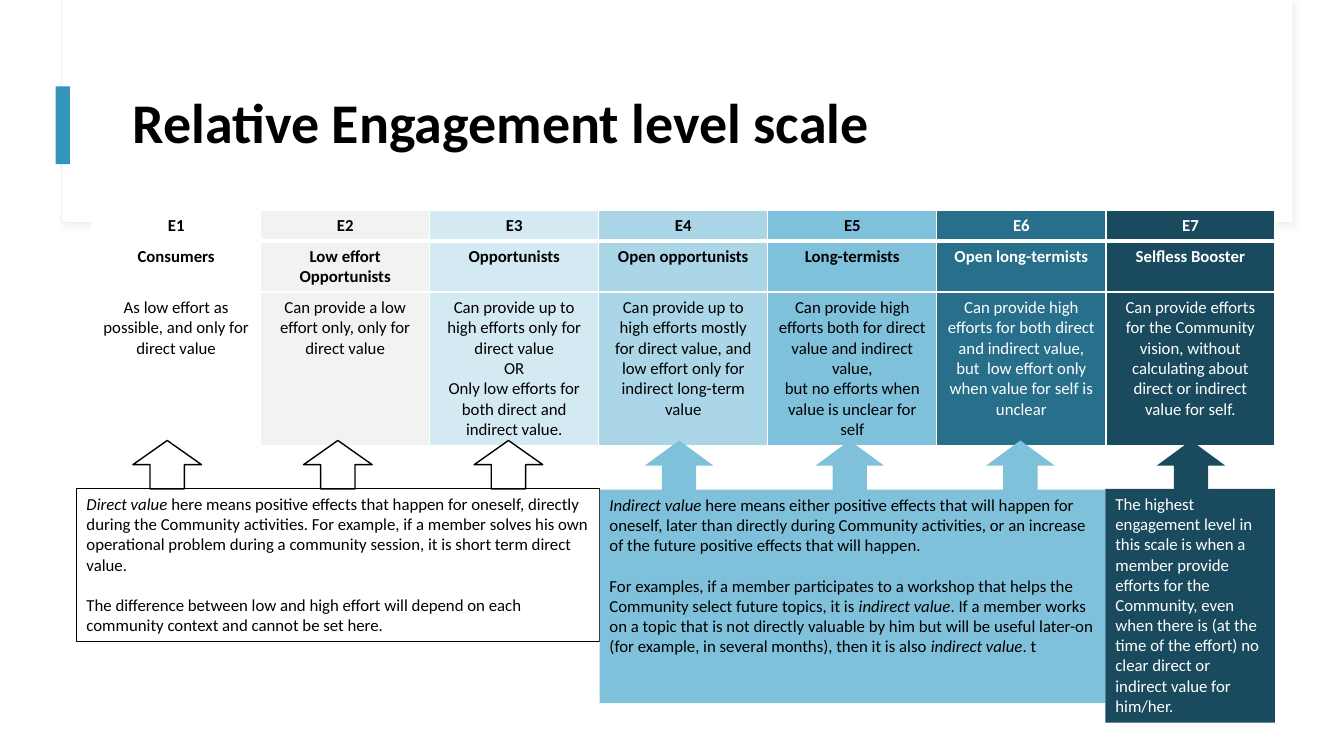
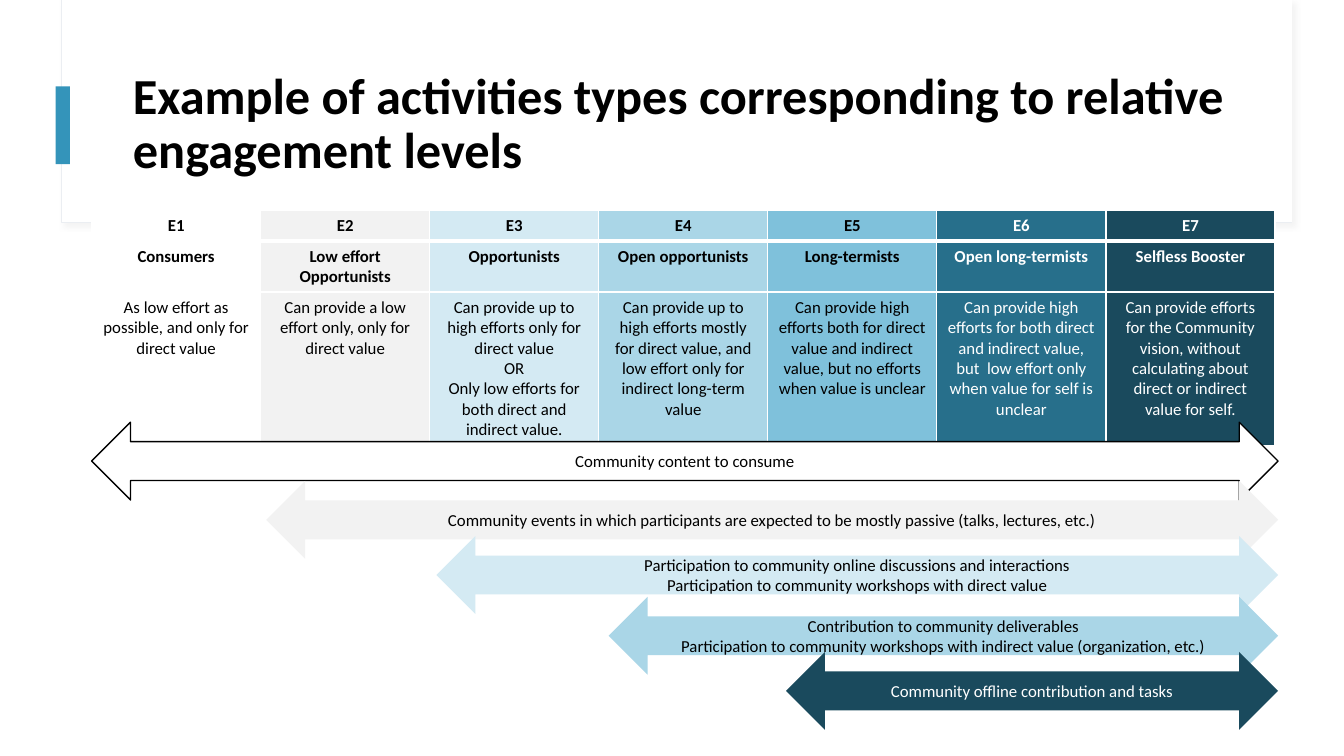
from dataclasses import dataclass

from lxml.etree import SubElement
from pptx import Presentation
from pptx.dml.color import RGBColor
from pptx.enum.shapes import MSO_SHAPE
from pptx.enum.text import MSO_ANCHOR, PP_ALIGN
from pptx.oxml import parse_xml
from pptx.oxml.ns import nsdecls, qn
from pptx.util import Cm, Pt


@dataclass(frozen=True)
class Theme:
    """Colours and type sizes shared by all slides."""

    font: str = "Calibri"
    black: str = "000000"
    white: str = "FFFFFF"
    accent: str = "3494BA"
    card_line: str = "EBEEF2"
    card_shadow: str = "D9D9D9"
    grey: str = "F2F2F2"
    pale: str = "D4EAF3"
    light: str = "AAD6E7"
    medium: str = "7FC1DB"
    strong: str = "276F8B"
    dark: str = "1A4A5D"
    title_size: int = 40
    long_title_size: int = 36
    body_size: int = 12
    paragraph_gap: float = 14.6


@dataclass(frozen=True)
class Box:
    """A rectangle in centimetres."""

    left: float
    top: float
    width: float
    height: float

    def lengths(self):
        """Return the four lengths for a shape call."""
        return Cm(self.left), Cm(self.top), Cm(self.width), Cm(self.height)


THEME = Theme()
TABLE_BOX = Box(2.31, 5.31, 29.82, 5.91)
ROW_HEIGHTS = (0.77, 1.28, 3.86)

LEVELS = [
    ("Consumers", THEME.white, THEME.black,
     ["As low effort as possible, and only for direct value"]),
    ("Low effort Opportunists", THEME.grey, THEME.black,
     ["Can provide a low effort only, only for direct value"]),
    ("Opportunists", THEME.pale, THEME.black,
     ["Can provide up to high efforts only for direct value", "OR",
      "Only low efforts for both direct and indirect value."]),
    ("Open opportunists", THEME.light, THEME.black,
     ["Can provide up to high efforts mostly for direct value, and low effort only "
      "for indirect long-term value"]),
    ("Long-termists", THEME.medium, THEME.black, []),
    ("Open long-termists", THEME.strong, THEME.white,
     ["Can provide high efforts for both direct and indirect value,",
      "but  low effort only when value for self is unclear"]),
    ("Selfless Booster", THEME.dark, THEME.white,
     ["Can provide efforts for the Community vision, without calculating about "
      "direct or indirect value for self."]),
]

SCALE_LONG_TERMISTS = [
    "Can provide high efforts both for direct value and indirect value,",
    "but no efforts when value is unclear for self",
]
ACTIVITY_LONG_TERMISTS = [
    "Can provide high efforts both for direct value and indirect value, but no "
    "efforts when value is unclear",
]

NOTES = [
    (Box(1.93, 12.32, 13.18, 3.84), None, THEME.black, [
        "*Direct value* here means positive effects that happen for oneself, directly "
        "during the Community activities. For example, if a member solves his own "
        "operational problem during a community session, it is short term direct value.",
        "The difference between low and high effort will depend on each community "
        "context and cannot be set here."]),
    (Box(15.11, 12.34, 12.75, 5.38), THEME.medium, THEME.black, [
        "*Indirect value *here means either positive effects that will happen for "
        "oneself, later than directly during Community activities, or an increase of "
        "the future positive effects that will happen.",
        "For examples, if a member participates to a workshop that helps the Community "
        "select future topics, it is *indirect value*. If a member works on a topic "
        "that is not directly valuable by him but will be useful later-on (for example, "
        "in several months), then it is also *indirect value*. t"]),
    (Box(27.86, 12.32, 4.27, 5.89), THEME.dark, THEME.white, [
        "The highest engagement level in this scale is when a member provide efforts "
        "for the Community, even when there is (at the time of the effort) no clear "
        "direct or indirect value for him/her."]),
]

ACTIVITIES = [
    (2.31, 10.64, THEME.white, THEME.black, ["Community content to consume"]),
    (6.71, 12.12, THEME.grey, THEME.black,
     ["Community events in which participants are expected to be mostly passive "
      "(talks, lectures, etc.)"]),
    (11.0, 13.51, THEME.pale, THEME.black,
     ["Participation to community online discussions and interactions",
      "Participation to community workshops with direct value"]),
    (15.34, 15.04, THEME.light, THEME.black,
     ["Contribution to community deliverables",
      "Participation to community workshops with indirect value (organization, etc.)"]),
    (19.81, 16.43, THEME.dark, THEME.white,
     ["Community offline contribution and tasks"]),
]


def write(text_frame, paragraphs, color, size=THEME.body_size, bold=False,
          align=PP_ALIGN.LEFT, gap=0):
    """Write paragraphs, setting the parts between asterisks in italics."""
    text_frame.word_wrap = True
    for index, text in enumerate(paragraphs):
        paragraph = text_frame.add_paragraph() if index else text_frame.paragraphs[0]
        paragraph.alignment = align
        if index and gap:
            paragraph.space_before = Pt(gap)
        for position, piece in enumerate(text.split("*")):
            if not piece:
                continue
            run = paragraph.add_run()
            run.text = piece
            run.font.name = THEME.font
            run.font.size = Pt(size)
            run.font.bold = bold
            run.font.italic = position % 2 == 1
            run.font.color.rgb = RGBColor.from_string(color)


def add_figure(slide, kind, box, fill=None, line=None, line_width=1):
    """Add a flat preset shape with an optional fill and outline."""
    shape = slide.shapes.add_shape(kind, *box.lengths())
    shape.shadow.inherit = False
    if fill:
        shape.fill.solid()
        shape.fill.fore_color.rgb = RGBColor.from_string(fill)
    else:
        shape.fill.background()
    if line:
        shape.line.color.rgb = RGBColor.from_string(line)
        shape.line.width = Pt(line_width)
    else:
        shape.line.fill.background()
    return shape


def add_soft_shadow(shape):
    """Give a shape a faint shadow to its lower right."""
    effects = shape._element.spPr.find(qn("a:effectLst"))
    shadow = SubElement(effects, qn("a:outerShdw"), blurRad=str(Pt(4)),
                        dist=str(Pt(3)), dir="2700000", algn="tl", rotWithShape="0")
    color = SubElement(shadow, qn("a:srgbClr"), val=THEME.card_shadow)
    SubElement(color, qn("a:alpha"), val="30000")


def add_heading(slide, title, size):
    """Draw the title card, its accent bar and the title."""
    card = add_figure(slide, MSO_SHAPE.RECTANGLE, Box(1.55, 0, 31.01, 5.61),
                      THEME.white, THEME.card_line, 0.75)
    add_soft_shadow(card)
    add_figure(slide, MSO_SHAPE.RECTANGLE, Box(1.57, 0, 30.99, 5.59), THEME.white)
    add_figure(slide, MSO_SHAPE.RECTANGLE, Box(1.4, 2.18, 0.36, 1.96), THEME.accent)
    text_box = slide.shapes.add_textbox(*Box(3.1, 1.52, 28.24, 3.28).lengths())
    write(text_box.text_frame, [title], THEME.black, size, bold=True)
    text_box.text_frame.vertical_anchor = MSO_ANCHOR.MIDDLE
    text_box.text_frame.paragraphs[0].line_spacing = 0.9


def set_borders(cell, row):
    """Draw white cell borders, thicker under the header row."""
    widths = {"L": 1, "R": 1, "T": 3 if row == 1 else 1, "B": 3 if row == 0 else 1}
    properties = cell._tc.get_or_add_tcPr()
    for index, (side, width) in enumerate(widths.items()):
        border = parse_xml(
            f'<a:ln{side} {nsdecls("a")} w="{Pt(width)}"><a:solidFill>'
            f'<a:srgbClr val="{THEME.white}"/></a:solidFill></a:ln{side}>')
        properties.insert(index, border)


def add_level_table(slide, box, long_termists):
    """Add the table of the seven engagement levels."""
    frame = slide.shapes.add_table(len(ROW_HEIGHTS), len(LEVELS), *box.lengths())
    table = frame.table
    table.horz_banding = False
    for row, height in zip(table.rows, ROW_HEIGHTS):
        row.height = Cm(height)
    for column, (name, fill, ink, description) in enumerate(LEVELS):
        table.columns[column].width = Cm(box.width / len(LEVELS))
        texts = ([f"E{column + 1}"], [name], description or long_termists)
        for row, paragraphs in enumerate(texts):
            cell = table.cell(row, column)
            cell.fill.solid()
            cell.fill.fore_color.rgb = RGBColor.from_string(fill)
            set_borders(cell, row)
            write(cell.text_frame, paragraphs, ink, bold=row < 2,
                  align=PP_ALIGN.CENTER)


def add_note(slide, box, fill, ink, paragraphs):
    """Add one explanatory note below the table."""
    outline = None if fill else THEME.black
    note = add_figure(slide, MSO_SHAPE.RECTANGLE, box, fill, outline, 0.75)
    note.text_frame.vertical_anchor = MSO_ANCHOR.TOP
    write(note.text_frame, paragraphs, ink, gap=THEME.paragraph_gap)


def add_up_arrows(slide, box, pitch):
    """Add a row of arrows that link the notes to the levels."""
    fills = [THEME.white] * 3 + [THEME.medium] * 3 + [THEME.dark]
    for index, fill in enumerate(fills):
        outlined = fill == THEME.white
        height = box.height if outlined else box.height + 0.05
        arrow_box = Box(box.left + index * pitch, box.top, box.width, height)
        add_figure(slide, MSO_SHAPE.UP_ARROW, arrow_box, fill,
                   THEME.black if outlined else None)


def add_activity(slide, box, fill, ink, paragraphs):
    """Add a double arrow spanning the levels an activity suits."""
    outline = THEME.black if fill == THEME.white else None
    arrow = add_figure(slide, MSO_SHAPE.LEFT_RIGHT_ARROW, box, fill, outline)
    arrow.text_frame.vertical_anchor = MSO_ANCHOR.MIDDLE
    write(arrow.text_frame, paragraphs, ink, align=PP_ALIGN.CENTER)


def build_scale_slide(slide):
    """Build the slide that defines the engagement scale."""
    add_heading(slide, "Relative Engagement level scale", THEME.title_size)
    add_level_table(slide, TABLE_BOX, SCALE_LONG_TERMISTS)
    for note in NOTES:
        add_note(slide, *note)
    add_up_arrows(slide, Box(3.35, 11.1, 1.73, 1.22), 4.3)


def build_activity_slide(slide):
    """Build the slide that matches activities with levels."""
    add_heading(slide, "Example of activities types corresponding to relative "
                "engagement levels", THEME.long_title_size)
    add_level_table(slide, TABLE_BOX, ACTIVITY_LONG_TERMISTS)
    right = 32.21
    for left, top, fill, ink, paragraphs in ACTIVITIES:
        add_activity(slide, Box(left, top, right - left, 1.96), fill, ink, paragraphs)


def main():
    """Create and save the presentation."""
    presentation = Presentation()
    presentation.slide_width = Cm(33.87)
    presentation.slide_height = Cm(19.05)
    blank = presentation.slide_layouts[6]
    for build in (build_scale_slide, build_activity_slide):
        build(presentation.slides.add_slide(blank))
    presentation.save("out.pptx")


if __name__ == "__main__":
    main()
